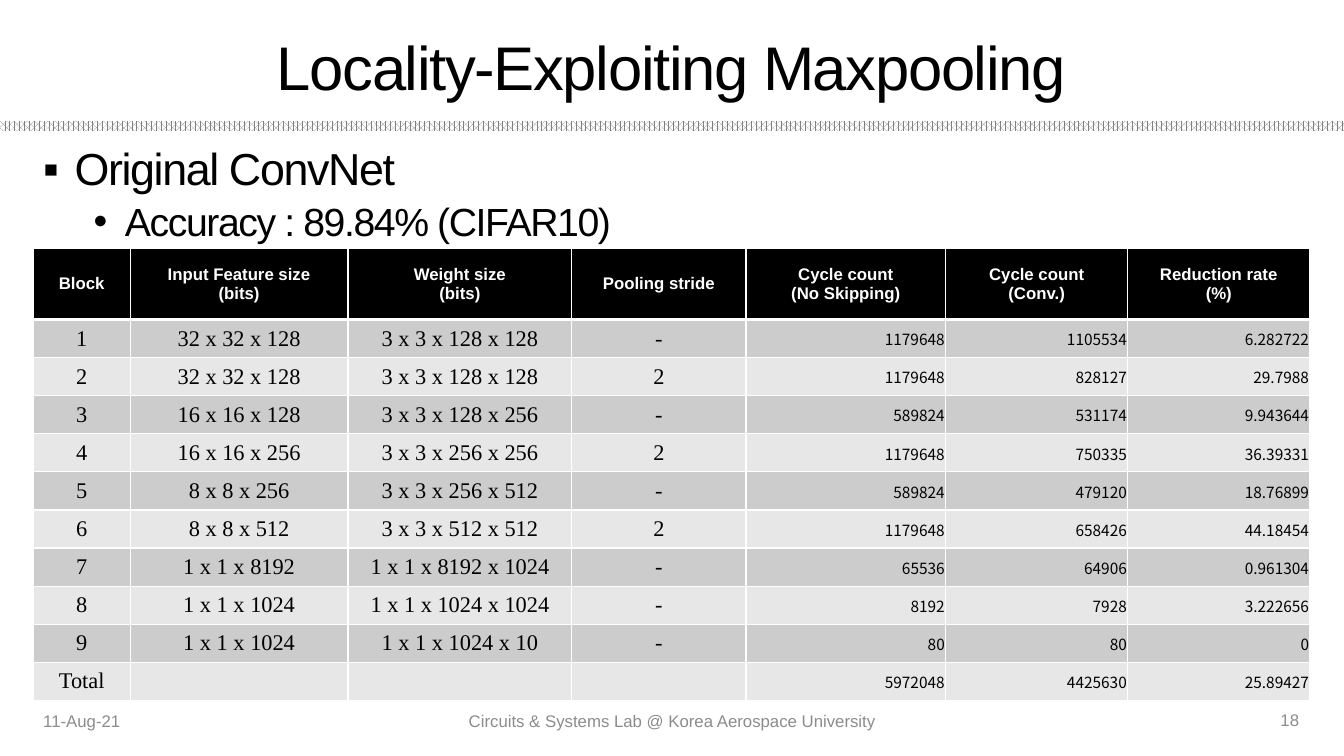
import pptx
import pptx.util
import pptx.dml.color
import pptx.enum.dml
import pptx.enum.shapes
import pptx.enum.text
import pptx.oxml.ns
import lxml.etree

Cm = pptx.util.Cm
Pt = pptx.util.Pt
qn = pptx.oxml.ns.qn
ALIGN = pptx.enum.text.PP_ALIGN
MIDDLE = pptx.enum.text.MSO_ANCHOR.MIDDLE

HEADERS = ["Block", "Input Feature size\n(bits)", "Weight size\n(bits)", "Pooling stride",
           "Cycle count\n(No Skipping)", "Cycle count\n(Conv.)", "Reduction rate\n(%)"]
BLOCKS = [
    ["1", "32 x 32 x 128", "3 x 3 x 128 x 128", "-", "1179648", "1105534", "6.282722"],
    ["2", "32 x 32 x 128", "3 x 3 x 128 x 128", "2", "1179648", "828127", "29.7988"],
    ["3", "16 x 16 x 128", "3 x 3 x 128 x 256", "-", "589824", "531174", "9.943644"],
    ["4", "16 x 16 x 256", "3 x 3 x 256 x 256", "2", "1179648", "750335", "36.39331"],
    ["5", "8 x 8 x 256", "3 x 3 x 256 x 512", "-", "589824", "479120", "18.76899"],
    ["6", "8 x 8 x 512", "3 x 3 x 512 x 512", "2", "1179648", "658426", "44.18454"],
    ["7", "1 x 1 x 8192", "1 x 1 x 8192 x 1024", "-", "65536", "64906", "0.961304"],
    ["8", "1 x 1 x 1024", "1 x 1 x 1024 x 1024", "-", "8192", "7928", "3.222656"],
    ["9", "1 x 1 x 1024", "1 x 1 x 1024 x 10", "-", "80", "80", "0"],
    ["Total", "", "", "", "5972048", "4425630", "25.89427"],
]
COLUMN_WIDTHS = [2.44, 5.49, 5.64, 4.39, 5.03, 4.59, 4.59]
FIRST_NUMBER_COLUMN = 4


def rgb(value):
    return pptx.dml.color.RGBColor.from_string(value)


class SlideBuilder:
    font = "Arial"
    black, white, gray = "000000", "FFFFFF", "8C8C8C"
    bands = ["CCCCCC", "E7E7E7"]

    def __init__(self, prs):
        self.s = prs.slides.add_slide(prs.slide_layouts[6])

    def format(self, p, size, color, align=ALIGN.LEFT, font=font, bold=False, spacing=0):
        p.alignment = align
        for r in p.runs:
            r.font.size = Pt(size)
            r.font.name = font
            r.font.bold = bold
            r.font.color.rgb = rgb(color)
            rPr = r.font._element
            lxml.etree.SubElement(rPr, qn("a:ea")).set("typeface", font)
            if spacing:
                rPr.set("spc", str(spacing))

    def box(self, x, y, w, h):
        tf = self.s.shapes.add_textbox(Cm(x), Cm(y), Cm(w), Cm(h)).text_frame
        tf.word_wrap = True
        return tf

    def label(self, text, x, y, w, h, size, color, align, spacing=0):
        tf = self.box(x, y, w, h)
        tf.vertical_anchor = MIDDLE
        tf.text = text
        self.format(tf.paragraphs[0], size, color, align, spacing=spacing)

    def bullets(self, items, x, y, w, h):
        tf = self.box(x, y, w, h)
        tf.text = "\n".join(item[0] for item in items)
        for p, (_, level, mark, size, before, indent) in zip(tf.paragraphs, items):
            self.format(p, size, self.black, spacing=-100)
            p.level = level
            p.line_spacing = 0.9
            p.space_before = Pt(before)
            pPr = p._p.get_or_add_pPr()
            pPr.set("marL", str(Cm(indent)))
            pPr.set("indent", str(-Cm(0.79)))
            lxml.etree.SubElement(pPr, qn("a:buFont")).set("typeface", self.font)
            lxml.etree.SubElement(pPr, qn("a:buChar")).set("char", mark)

    def hatched_band(self, x, y, w, h):
        sp = self.s.shapes.add_shape(pptx.enum.shapes.MSO_SHAPE.RECTANGLE, Cm(x), Cm(y), Cm(w), Cm(h))
        sp.shadow.inherit = False
        sp.line.fill.background()
        sp.fill.patterned()
        sp.fill.pattern = pptx.enum.dml.MSO_PATTERN.PERCENT_70
        sp.fill.fore_color.rgb = rgb("808080")
        sp.fill.back_color.rgb = rgb(self.white)

    def borders(self, cell, bottom):
        tcPr = cell._tc.get_or_add_tcPr()
        for i, (side, width) in enumerate([("L", 1), ("R", 1), ("T", 1), ("B", bottom)]):
            ln = lxml.etree.Element(qn("a:ln" + side), w=str(Pt(width)))
            fill = lxml.etree.SubElement(ln, qn("a:solidFill"))
            lxml.etree.SubElement(fill, qn("a:srgbClr")).set("val", self.white)
            tcPr.insert(i, ln)

    def cell(self, cell, text, row, column):
        header = row == 0
        number = not header and column >= FIRST_NUMBER_COLUMN
        cell.text = text
        cell.vertical_anchor = MIDDLE
        cell.fill.solid()
        cell.fill.fore_color.rgb = rgb(self.black if header else self.bands[(row - 1) % 2])
        self.borders(cell, 3 if header else 1)
        if number or not text:
            cell.margin_left = cell.margin_right = cell.margin_top = Cm(0.02)
            cell.margin_bottom = 0
        for p in cell.text_frame.paragraphs:
            if header:
                self.format(p, 12, self.white, ALIGN.CENTER, bold=True)
            elif number:
                self.format(p, 11, self.black, ALIGN.RIGHT, "Noto Sans CJK KR")
            else:
                self.format(p, 16, self.black, ALIGN.CENTER, "Times New Roman")

    def table(self, rows, widths, x, y, header_height, row_height):
        height = header_height + row_height * (len(rows) - 1)
        table = self.s.shapes.add_table(len(rows), len(widths), Cm(x), Cm(y),
                                        Cm(sum(widths)), Cm(height)).table
        for column, width in zip(table.columns, widths):
            column.width = Cm(width)
        for i, values in enumerate(rows):
            table.rows[i].height = Cm(row_height if i else header_height)
            for j, text in enumerate(values):
                self.cell(table.cell(i, j), text, i, j)


def main():
    prs = pptx.Presentation()
    prs.slide_width, prs.slide_height = Cm(33.87), Cm(19.05)
    b = SlideBuilder(prs)
    b.hatched_band(0, 3.05, 33.87, 0.25)
    b.bullets([("Original ConvNet", 0, "▪", 32, 10, 0.79),
               ("Accuracy : 89.84% (CIFAR10)", 1, "•", 28, 5, 2.06)],
              0.84, 3.58, 32.16, 13.59)
    b.label("11-Aug-21", 0.84, 17.65, 7.62, 1.02, 12, b.gray, ALIGN.LEFT)
    b.label("Circuits & Systems Lab @ Korea Aerospace University",
            11.23, 17.65, 11.43, 1.02, 12, b.gray, ALIGN.CENTER)
    b.label("18", 25.27, 17.63, 7.72, 1.02, 12, b.gray, ALIGN.RIGHT)
    b.label("Locality-Exploiting Maxpooling", 0.84, 0.56, 32.16, 2.21, 44, b.black,
            ALIGN.CENTER, spacing=-100)
    b.table([HEADERS] + BLOCKS, COLUMN_WIDTHS, 0.84, 6.25, 1.8, 0.96)
    prs.save("out.pptx")


if __name__ == "__main__":
    main()
